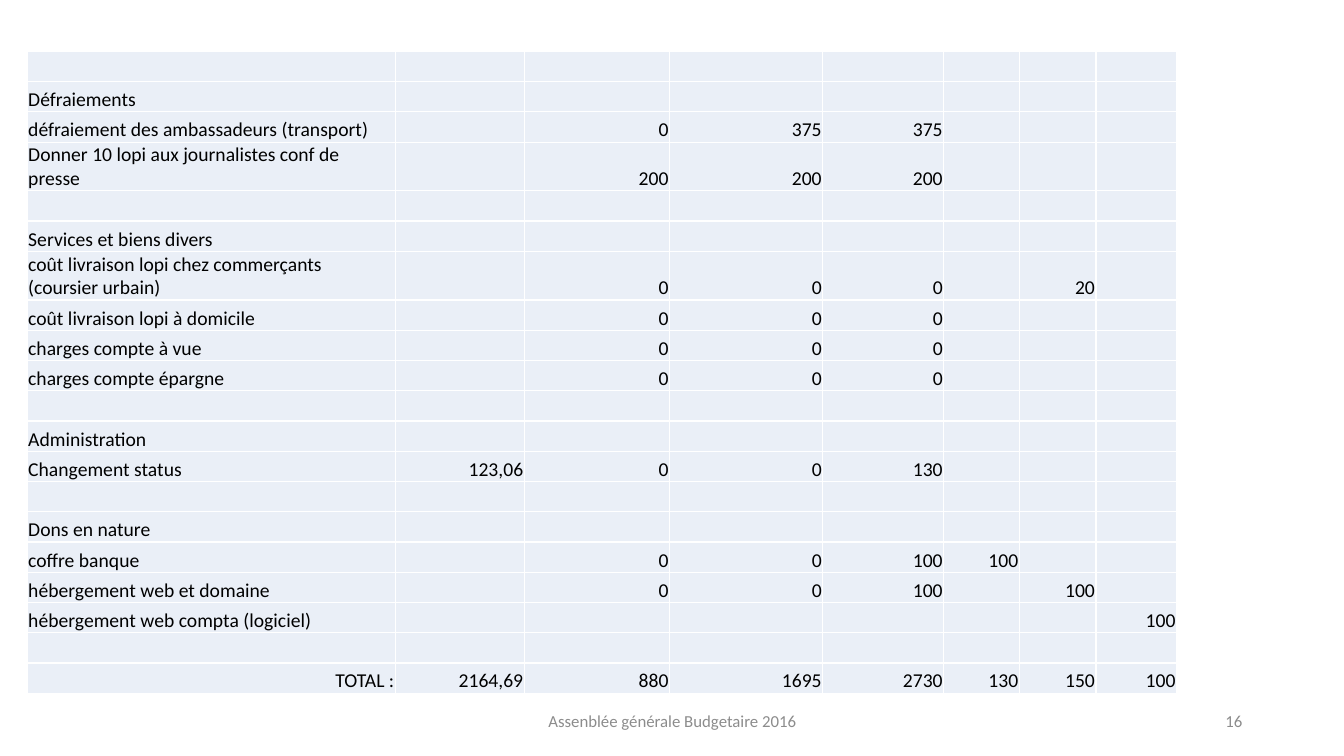
from dataclasses import dataclass

from lxml import etree
from pptx import Presentation
from pptx import util as u
from pptx.dml.color import RGBColor
from pptx.enum import text
from pptx.oxml import ns


@dataclass(frozen=True)
class Theme:
    font: str = "Calibri"
    ink: str = "000000"
    muted: str = "8C8C8C"
    cell: str = "EAEFF7"
    border: str = "FFFFFF"
    table_size: int = 14
    footer_size: int = 12
    border_width: int = 1


THEME = Theme()
SLIDE_WIDTH, SLIDE_HEIGHT = 13.33, 7.5
TABLE_LEFT, TABLE_TOP = 0.27, 0.51
COLUMN_WIDTHS = [3.65, 1.28, 1.44, 1.52, 1.2, 0.75, 0.76, 0.8]
ROW_HEIGHT = 0.3
FOOTER_MARGIN, FOOTER_COLUMN = 0.92, 0.5
FOOTER_TOP, FOOTER_HEIGHT = 6.95, 0.4

BUDGET = [
    [],
    ["Défraiements"],
    ["défraiement des ambassadeurs (transport)", "", "0", "375", "375"],
    ["Donner 10 lopi aux journalistes conf de presse", "", "200", "200", "200"],
    [],
    ["Services et biens divers"],
    ["coût livraison lopi chez commerçants (coursier urbain)", "", "0", "0", "0", "", "20"],
    ["coût livraison lopi à domicile", "", "0", "0", "0"],
    ["charges compte à vue", "", "0", "0", "0"],
    ["charges compte épargne", "", "0", "0", "0"],
    [],
    ["Administration"],
    ["Changement status", "123,06", "0", "0", "130"],
    [],
    ["Dons en nature"],
    ["coffre banque", "", "0", "0", "100", "100"],
    ["hébergement web et domaine", "", "0", "0", "100", "", "100"],
    ["hébergement web compta (logiciel)", "", "", "", "", "", "", "100"],
    [],
    ["TOTAL :", "2164,69", "880", "1695", "2730", "130", "150", "100"],
]


def format_paragraph(paragraph, size, color, alignment):
    paragraph.alignment = alignment
    for run in paragraph.runs:
        run.font.name = THEME.font
        run.font.size = u.Pt(size)
        run.font.color.rgb = RGBColor.from_string(color)


def add_borders(cell):
    properties = cell._tc.get_or_add_tcPr()
    for side in ("a:lnL", "a:lnR", "a:lnT", "a:lnB"):
        line = etree.SubElement(properties, ns.qn(side), w=str(u.Pt(THEME.border_width)))
        fill = etree.SubElement(line, ns.qn("a:solidFill"))
        etree.SubElement(fill, ns.qn("a:srgbClr"), val=THEME.border)


def format_cell(cell, value, alignment):
    add_borders(cell)
    cell.fill.solid()
    cell.fill.fore_color.rgb = RGBColor.from_string(THEME.cell)
    cell.margin_left = cell.margin_right = cell.margin_top = u.Inches(0.01)
    cell.margin_bottom = 0
    cell.vertical_anchor = text.MSO_ANCHOR.BOTTOM
    paragraph = cell.text_frame.paragraphs[0]
    if value:
        paragraph.text = value
    else:
        etree.SubElement(paragraph._p, ns.qn("a:endParaRPr"), sz=str(THEME.table_size * 100))
    format_paragraph(paragraph, THEME.table_size, THEME.ink, alignment)


def add_budget_table(slide):
    frame = slide.shapes.add_table(
        len(BUDGET), len(COLUMN_WIDTHS), u.Inches(TABLE_LEFT), u.Inches(TABLE_TOP),
        u.Inches(sum(COLUMN_WIDTHS)), u.Inches(ROW_HEIGHT * len(BUDGET)))
    table = frame.table
    table.first_row = table.horz_banding = False
    for column, width in zip(table.columns, COLUMN_WIDTHS):
        column.width = u.Inches(width)
    for row, values in zip(table.rows, BUDGET):
        row.height = u.Inches(ROW_HEIGHT)
        for index, cell in enumerate(row.cells):
            value = values[index] if index < len(values) else ""
            is_label = index == 0 and value != "TOTAL :"
            alignment = text.PP_ALIGN.LEFT if is_label else text.PP_ALIGN.RIGHT
            format_cell(cell, value, alignment)


def add_footer(slide, content, column, span, alignment):
    shape = slide.shapes.add_textbox(
        u.Inches(FOOTER_MARGIN + column * FOOTER_COLUMN), u.Inches(FOOTER_TOP),
        u.Inches(span * FOOTER_COLUMN), u.Inches(FOOTER_HEIGHT))
    frame = shape.text_frame
    frame.word_wrap = True
    frame.vertical_anchor = text.MSO_ANCHOR.MIDDLE
    frame.text = content
    format_paragraph(frame.paragraphs[0], THEME.footer_size, THEME.muted, alignment)


def main():
    presentation = Presentation()
    presentation.slide_width = u.Inches(SLIDE_WIDTH)
    presentation.slide_height = u.Inches(SLIDE_HEIGHT)
    slide = presentation.slides.add_slide(presentation.slide_layouts[6])
    add_budget_table(slide)
    add_footer(slide, "Assenblée générale Budgetaire 2016", 7, 9, text.PP_ALIGN.CENTER)
    add_footer(slide, "16", 17, 6, text.PP_ALIGN.RIGHT)
    presentation.save("out.pptx")


if __name__ == "__main__":
    main()
